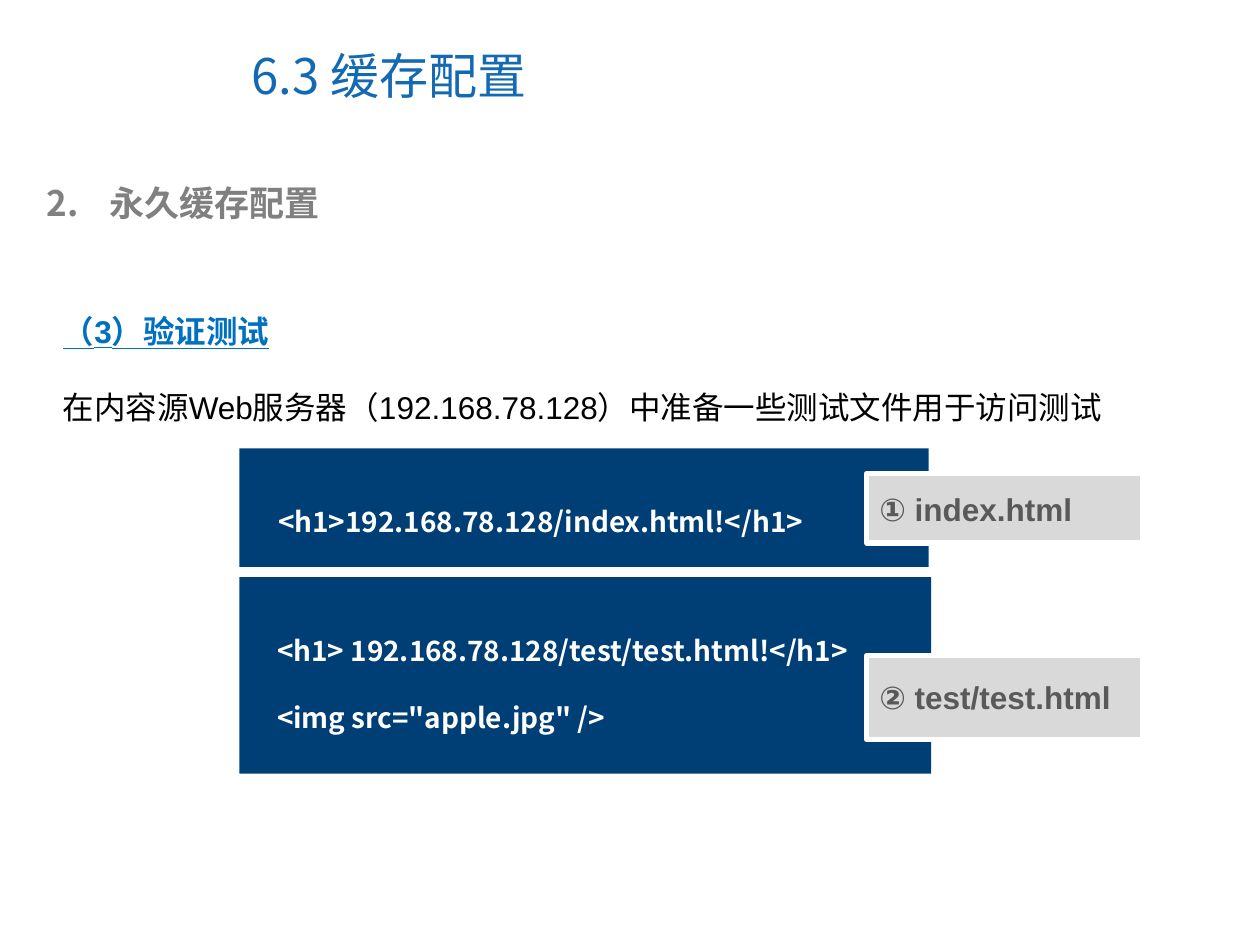
from lxml import etree
from pptx import Presentation
from pptx.dml.color import RGBColor
from pptx.enum.shapes import MSO_SHAPE as Shape
from pptx.enum.text import MSO_ANCHOR as Anchor, PP_ALIGN as Align
from pptx.oxml.ns import qn
from pptx.util import Inches, Pt

WHITE = RGBColor(0xFF, 0xFF, 0xFF)
BLACK = RGBColor(0, 0, 0)
TITLE_BLUE = RGBColor(0x13, 0x69, 0xB2)
LINK_BLUE = RGBColor(0x00, 0x70, 0xC0)
CODE_BLUE = RGBColor(0x00, 0x3F, 0x75)
HEADING_GREY = RGBColor(0x80, 0x80, 0x80)
LABEL_GREY = RGBColor(0xD9, 0xD9, 0xD9)
LABEL_TEXT = RGBColor(0x59, 0x59, 0x59)
CJK, LATIN = "Noto Sans CJK SC", "Arial"

# Content: boxes are left, top, width, height in inches
TITLE = "6.3 缓存配置"
HEADING = "永久缓存配置"
STEP = "（3）验证测试"
STEP_TEXT = "在内容源Web服务器（192.168.78.128）中准备一些测试文件用于访问测试"
CODE_BLOCKS = [
    {"panel": (1.9, 3.56, 5.47, 0.94), "text": (2.11, 3.69, 5.28, 0.56),
     "lines": ["<h1>192.168.78.128/index.html!</h1>"]},
    {"panel": (1.9, 4.58, 5.49, 1.56), "text": (2.1, 4.71, 5.05, 1.1),
     "lines": ["<h1> 192.168.78.128/test/test.html!</h1>", '<img src="apple.jpg" />']},
]
FILE_LABELS = [
    ("① index.html", (6.88, 3.76, 2.19, 0.55)),
    ("② test/test.html", (6.88, 5.2, 2.19, 0.67)),
]

presentation = Presentation()
presentation.slide_width, presentation.slide_height = Inches(10), Inches(7.5)
slide = presentation.slides.add_slide(presentation.slide_layouts[6])


def write(shape, lines, size, font, color, bold=True, spacing=1.0, anchor=Anchor.TOP):
    frame = shape.text_frame
    frame.word_wrap = True
    frame.vertical_anchor = anchor
    frame.text = "\n".join(lines)
    for paragraph in frame.paragraphs:
        paragraph.alignment = Align.LEFT
        paragraph.line_spacing = spacing
        for run in paragraph.runs:
            run.font.size, run.font.bold, run.font.name = Pt(size), bold, font
            run.font.color.rgb = color
            if font == CJK:
                east_asian = etree.SubElement(run.font._element, qn("a:ea"))
                east_asian.set("typeface", font)
    return frame


def add_text(box, lines, *style, **options):
    return write(slide.shapes.add_textbox(*map(Inches, box)), lines, *style, **options)


def add_panel(box, fill):
    shape = slide.shapes.add_shape(Shape.RECTANGLE, *map(Inches, box))
    shape.shadow.inherit = False
    shape.fill.solid()
    shape.fill.fore_color.rgb = fill
    shape.line.fill.background()
    return shape


# Title and numbered heading
add_text((1.9, 0.17, 5.67, 0.85), [TITLE], 28, CJK, TITLE_BLUE,
         bold=False, anchor=Anchor.MIDDLE)
heading = add_text((0.27, 1.39, 9.22, 0.44), [HEADING], 20, CJK, HEADING_GREY)
properties = heading.paragraphs[0]._p.get_or_add_pPr()
properties.set("marL", str(Inches(0.5)))
properties.set("indent", str(-Inches(0.5)))
numbering = etree.SubElement(properties, qn("a:buAutoNum"))
numbering.set("type", "arabicPeriod")
numbering.set("startAt", "2")

# Step and its explanation
step = add_text((0.4, 2.13, 9.19, 1.31), [STEP, STEP_TEXT], 18, LATIN, BLACK,
                bold=False, spacing=2.0)
step_font = step.paragraphs[0].runs[0].font
step_font.bold = step_font.underline = True
step_font.color.rgb = LINK_BLUE

# Code panels
for block in CODE_BLOCKS:
    add_panel(block["panel"], CODE_BLUE)
    add_text(block["text"], block["lines"], 16, CJK, WHITE, spacing=2.0)

# File name labels
for name, box in FILE_LABELS:
    label = add_panel(box, LABEL_GREY)
    label.line.color.rgb = WHITE
    label.line.width = Pt(3)
    write(label, [name], 18, LATIN, LABEL_TEXT, anchor=Anchor.MIDDLE)

presentation.save("out.pptx")
